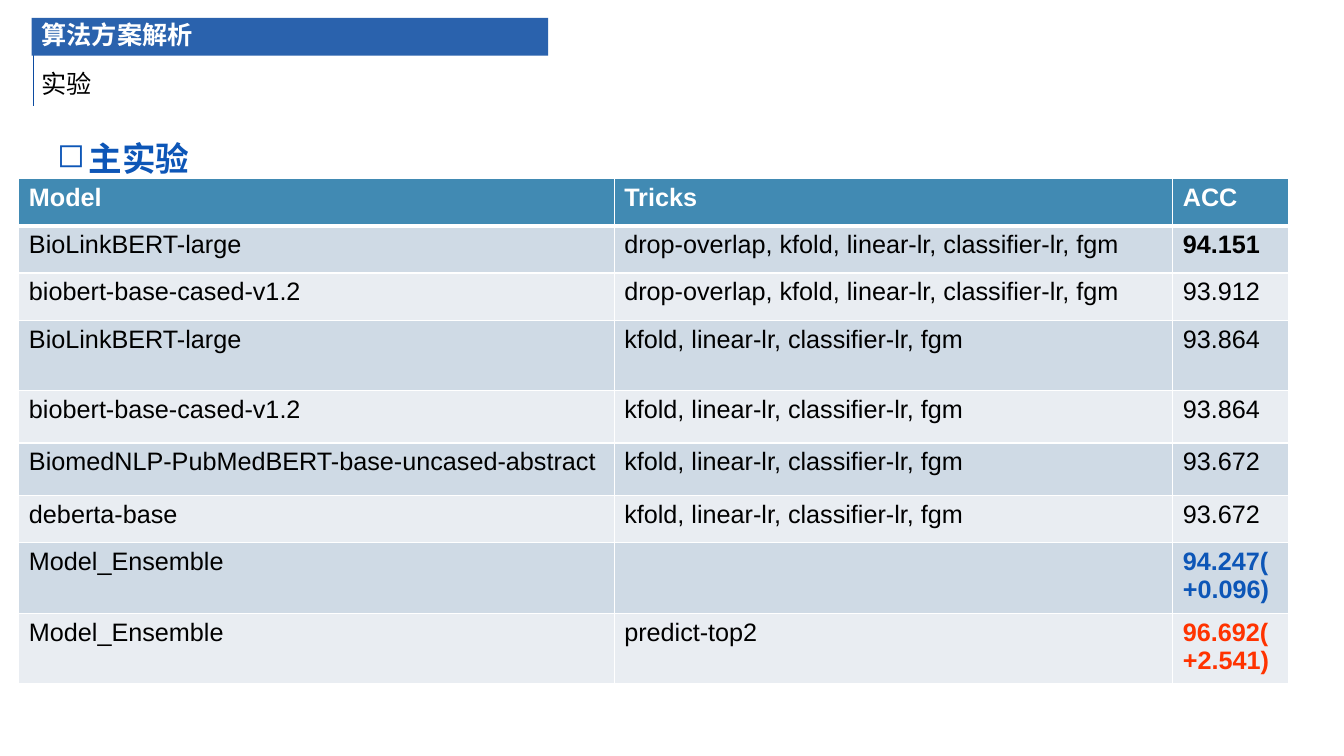
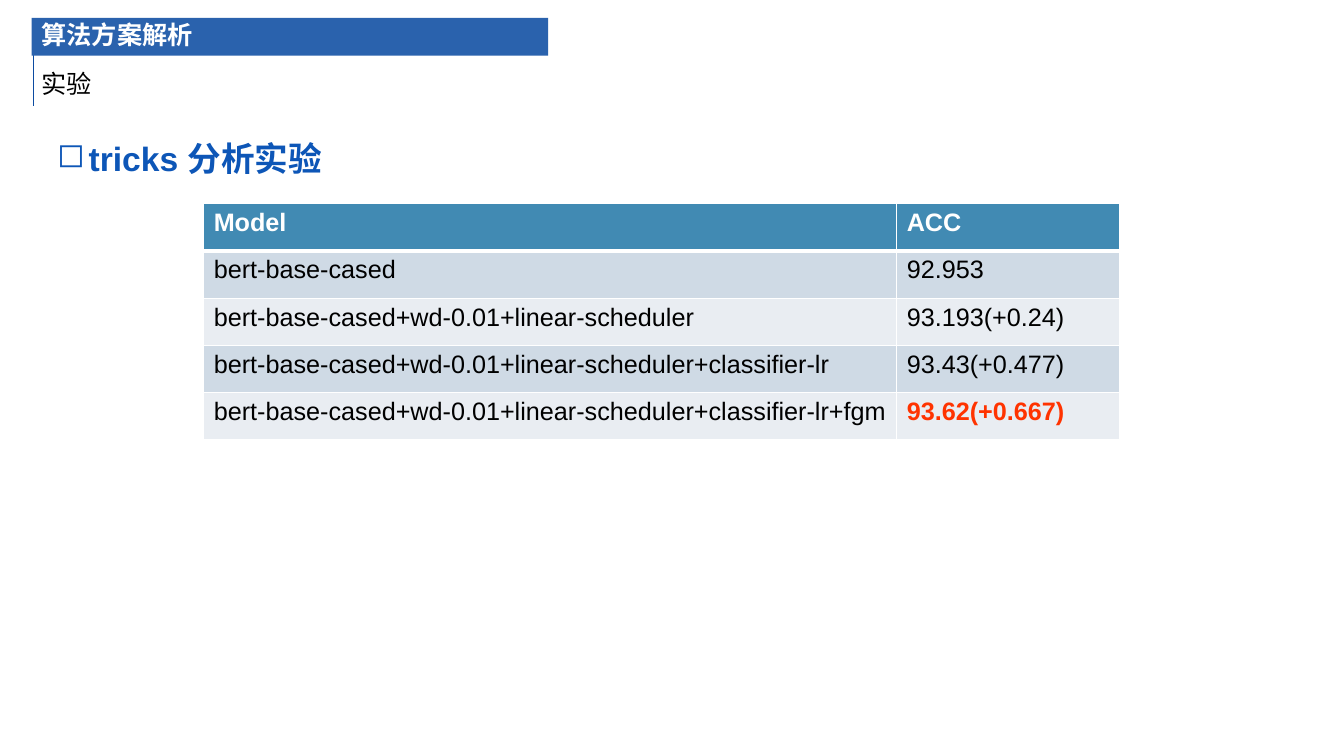
"""Build two slides of experiment results, each with a shared header and a table."""
from dataclasses import dataclass, field

from lxml.etree import SubElement
from pptx import Presentation
from pptx.dml.color import RGBColor
from pptx.enum.shapes import MSO_CONNECTOR
from pptx.enum.text import MSO_ANCHOR, MSO_AUTO_SIZE, PP_ALIGN
from pptx.oxml import parse_xml
from pptx.oxml.ns import nsdecls, qn
from pptx.util import Emu, Pt


@dataclass(frozen=True)
class Theme:
    band: str = "2A62AD"
    rule: str = "0C4BA1"
    accent: str = "0D56B7"
    alert: str = "FF3300"
    header: str = "418AB3"
    stripes: tuple[str, str] = ("CFDAE5", "E9EDF2")
    white: str = "FFFFFF"
    black: str = "000000"
    latin: str = "Arial"
    cjk: str = "Noto Sans CJK SC"
    body_size: int = 18
    heading_size: int = 24
    border: int = 1
    header_border: int = 3


@dataclass(frozen=True)
class Box:
    left: int
    top: int
    width: int
    height: int


@dataclass(frozen=True)
class Strong:
    text: str
    color: str


@dataclass(frozen=True)
class ResultSlide:
    heading: str
    left: int
    top: int
    columns: list[int]
    rows: list[tuple]
    tall: dict[int, int] = field(default_factory=dict)


THEME = Theme()
ROW_HEIGHT = 45
BAND = Box(30, 17, 492, 36)
SUBTITLE = Box(30, 60, 293, 38)
HEADING = Box(45, 107, 1155, 296)
HEADING_INDENT = 30
RULE_X, RULE_TOP, RULE_BOTTOM = 32, 23, 101

BASE_TRICKS = "kfold, linear-lr, classifier-lr, fgm"
ALL_TRICKS = f"drop-overlap, {BASE_TRICKS}"
SCHEDULED = "bert-base-cased+wd-0.01+linear-scheduler"

SLIDES = [
    ResultSlide(
        "主实验", 18, 170, [567, 532, 110],
        [
            ("Model", "Tricks", "ACC"),
            ("BioLinkBERT-large", ALL_TRICKS, Strong("94.151", THEME.black)),
            ("biobert-base-cased-v1.2", ALL_TRICKS, "93.912"),
            ("BioLinkBERT-large", BASE_TRICKS, "93.864"),
            ("biobert-base-cased-v1.2", BASE_TRICKS, "93.864"),
            ("BiomedNLP-PubMedBERT-base-uncased-abstract", BASE_TRICKS, "93.672"),
            ("deberta-base", BASE_TRICKS, "93.672"),
            ("Model_Ensemble", "", Strong("94.247(+0.096)", THEME.accent)),
            ("Model_Ensemble", "predict-top2", Strong("96.692(+2.541)", THEME.alert)),
        ],
        {3: 67, 4: 50, 5: 50, 7: 67, 8: 67},
    ),
    ResultSlide(
        "tricks 分析实验", 194, 194, [660, 212],
        [
            ("Model", "ACC"),
            ("bert-base-cased", "92.953"),
            (SCHEDULED, "93.193(+0.24)"),
            (f"{SCHEDULED}+classifier-lr", "93.43(+0.477)"),
            (f"{SCHEDULED}+classifier-lr+fgm", Strong("93.62(+0.667)", THEME.alert)),
        ],
    ),
]


def px(n: int) -> Emu:
    return Emu(n * 9525)


def rgb(color: str) -> RGBColor:
    return RGBColor.from_string(color)


def place(sp, box: Box) -> None:
    sp.left, sp.top = px(box.left), px(box.top)
    sp.width, sp.height = px(box.width), px(box.height)


def write(tf, text: str, size: int, color: str, bold: bool = False, latin: str = THEME.latin):
    tf.text = text
    p = tf.paragraphs[0]
    for r in p.runs:
        r.font.size, r.font.bold, r.font.name = Pt(size), bold, latin
        r.font.color.rgb = rgb(color)
        SubElement(r.font._element, qn("a:ea")).set("typeface", THEME.cjk)
    return p


def add_text(slide, box: Box, text: str, size: int, color: str, bold: bool = False):
    sp = slide.shapes.add_textbox(0, 0, 0, 0)
    place(sp, box)
    sp.text_frame.word_wrap = True
    return write(sp.text_frame, text, size, color, bold)


def add_rule(slide) -> None:
    line = slide.shapes.add_connector(
        MSO_CONNECTOR.STRAIGHT, px(RULE_X), px(RULE_TOP), px(RULE_X), px(RULE_BOTTOM))
    line.line.color.rgb = rgb(THEME.rule)
    line.line.width = Pt(1)
    SubElement(line._element.spPr, qn("a:effectLst"))
    slide.shapes._spTree.insert(2, line._element)


def add_header(slide, heading: str) -> None:
    add_rule(slide)
    title = slide.shapes.title
    place(title, BAND)
    title.fill.solid()
    title.fill.fore_color.rgb = rgb(THEME.band)
    tf = title.text_frame
    tf.auto_size, tf.vertical_anchor = MSO_AUTO_SIZE.NONE, MSO_ANCHOR.MIDDLE
    p = write(tf, "算法方案解析", THEME.body_size, THEME.white, True, THEME.cjk)
    p.alignment, p.line_spacing, p.space_before = PP_ALIGN.LEFT, 0.9, Pt(10)

    add_text(slide, SUBTITLE, "实验", THEME.body_size, THEME.black)
    p = add_text(slide, HEADING, heading, THEME.heading_size, THEME.accent, True)
    p.line_spacing = 1.5
    pPr = p._p.get_or_add_pPr()
    pPr.set("marL", str(px(HEADING_INDENT)))
    pPr.set("indent", str(-px(HEADING_INDENT)))
    SubElement(pPr, qn("a:buChar")).set("char", "◻")


def set_borders(cell, top: int, bottom: int) -> None:
    tcPr = cell._tc.get_or_add_tcPr()
    widths = {"L": THEME.border, "R": THEME.border, "T": top, "B": bottom}
    for i, (side, width) in enumerate(widths.items()):
        tcPr.insert(i, parse_xml(
            f'<a:ln{side} {nsdecls("a")} w="{Pt(width)}"><a:solidFill>'
            f'<a:srgbClr val="{THEME.white}"/></a:solidFill></a:ln{side}>'))


def fill_cell(cell, value: str | Strong, row: int) -> None:
    is_header = row == 0
    cell.fill.solid()
    cell.fill.fore_color.rgb = rgb(THEME.header if is_header else THEME.stripes[(row - 1) % 2])
    set_borders(
        cell,
        THEME.header_border if row == 1 else THEME.border,
        THEME.header_border if is_header else THEME.border)
    if isinstance(value, Strong):
        write(cell.text_frame, value.text, THEME.body_size, value.color, True)
    else:
        color = THEME.white if is_header else THEME.black
        write(cell.text_frame, value, THEME.body_size, color, is_header)


def add_results(slide, data: ResultSlide) -> None:
    heights = [data.tall.get(i, ROW_HEIGHT) for i in range(len(data.rows))]
    table = slide.shapes.add_table(
        len(heights), len(data.columns), px(data.left), px(data.top),
        px(sum(data.columns)), px(sum(heights))).table
    for column, width in zip(table.columns, data.columns):
        column.width = px(width)
    for i, (row, height, values) in enumerate(zip(table.rows, heights, data.rows)):
        row.height = px(height)
        for cell, value in zip(row.cells, values):
            fill_cell(cell, value, i)


def main() -> None:
    prs = Presentation()
    prs.slide_width, prs.slide_height = px(1280), px(720)
    for data in SLIDES:
        slide = prs.slides.add_slide(prs.slide_layouts[5])
        add_header(slide, data.heading)
        add_results(slide, data)
    prs.save("out.pptx")


if __name__ == "__main__":
    main()
